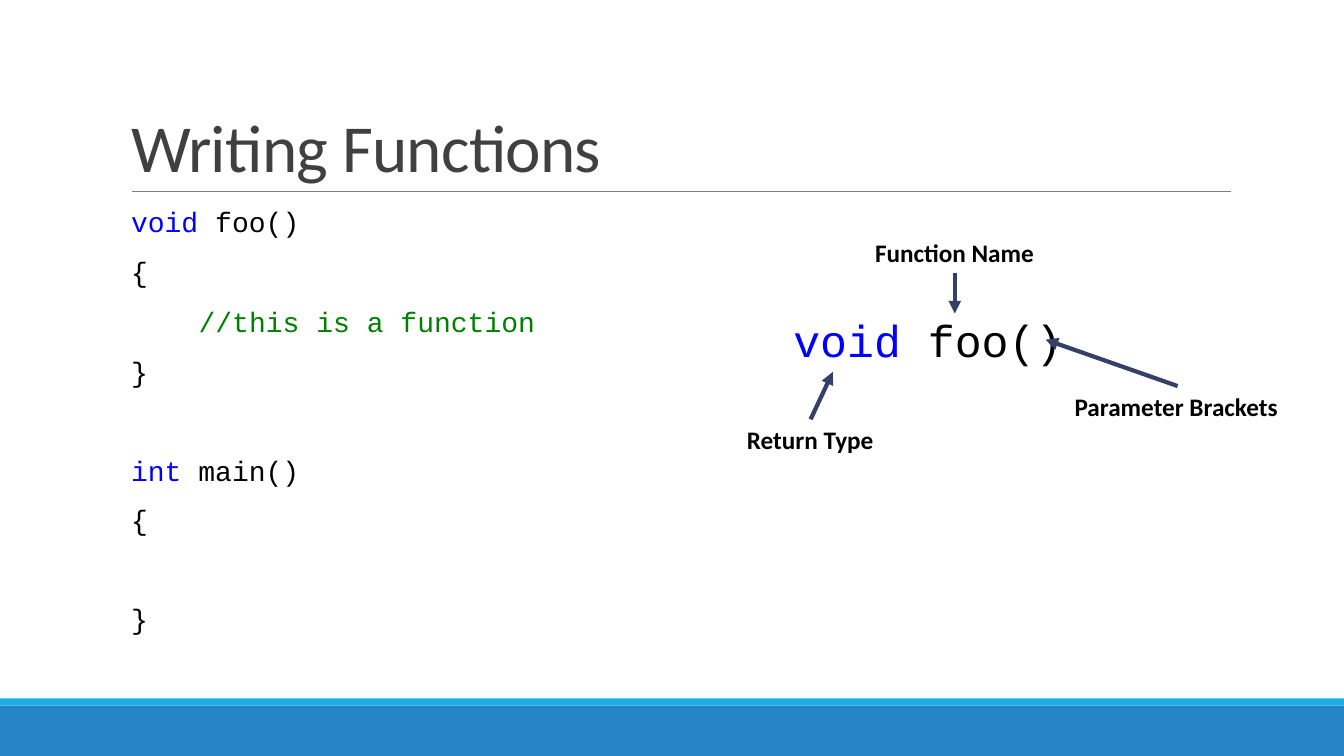
"""Build the Writing Functions slide with its code sample and labelled signature."""
from dataclasses import dataclass

import pptx
import pptx.dml.color
import pptx.enum.shapes
import pptx.enum.text
import pptx.oxml
import pptx.oxml.ns
import pptx.util

PX = 9144


@dataclass(frozen=True)
class Theme:
    sans: str = "Calibri"
    mono: str = "Courier New"
    title: str = "404040"
    text: str = "000000"
    keyword: str = "0000FF"
    comment: str = "008000"
    arrow: str = "344068"
    rule: str = "808080"
    bar: str = "2683C6"
    strip: str = "1CADE4"
    title_size: int = 48
    signature_size: int = 32
    code_size: int = 20
    label_size: int = 18


@dataclass(frozen=True)
class Area:
    left: int
    top: int
    width: int
    height: int

    def emu(self) -> list[int]:
        return [px(side) for side in (self.left, self.top, self.width, self.height)]


@dataclass(frozen=True)
class Band:
    area: Area
    color: str


@dataclass(frozen=True)
class Line:
    start: tuple[int, int]
    end: tuple[int, int]


@dataclass(frozen=True)
class Label:
    text: str
    area: Area
    arrow: Line


@dataclass(frozen=True)
class CodeLine:
    text: str
    keyword: str = ""
    color: str = Theme.text
    indent: int = 0
    before: int = 12


BANDS = [
    Band(Area(0, 700, 1333, 50), Theme.bar),
    Band(Area(0, 693, 1333, 7), Theme.strip),
]
RULE = Line((131, 190), (1221, 190))
TITLE_AREA = Area(120, 31, 1100, 159)
CODE_AREA = Area(120, 202, 1100, 440)
SIGNATURE_AREA = Area(777, 305, 355, 64)
BULLET_GAP = 10
AFTER_BLANK = 47
CODE = [
    CodeLine(" foo()", keyword="void"),
    CodeLine("{"),
    CodeLine("//this is a function", color=Theme.comment, indent=67),
    CodeLine("}"),
    CodeLine(" main()", keyword="int", before=AFTER_BLANK),
    CodeLine("{"),
    CodeLine("}", before=AFTER_BLANK),
]
LABELS = [
    Label("Return Type", Area(731, 416, 147, 40), Line((804, 416), (826, 369))),
    Label("Function Name", Area(858, 231, 179, 40), Line((947, 271), (947, 311))),
    Label("Parameter Brackets", Area(1056, 383, 223, 40), Line((1168, 383), (1037, 337))),
]


def px(length: int) -> int:
    return length * PX


def rgb(color: str) -> pptx.dml.color.RGBColor:
    return pptx.dml.color.RGBColor.from_string(color)


def add_text(para, text: str, *, size: int, font: str = Theme.sans,
             color: str = Theme.text, bold: bool = False, spacing: int = 0) -> None:
    span = para.add_run()
    span.text = text
    span.font.name = font
    span.font.size = pptx.util.Pt(size)
    span.font.bold = bold
    span.font.color.rgb = rgb(color)
    if spacing:
        span._r.get_or_add_rPr().set("spc", str(spacing))


def add_code(para, line: CodeLine, size: int) -> None:
    if line.keyword:
        add_text(para, line.keyword, size=size, font=Theme.mono, color=Theme.keyword)
    add_text(para, line.text, size=size, font=Theme.mono, color=line.color)


def add_box(page, area: Area, wrap: bool = True):
    box = page.shapes.add_textbox(*area.emu())
    box.text_frame.word_wrap = wrap
    return box.text_frame


def add_band(page, band: Band) -> None:
    shape = page.shapes.add_shape(pptx.enum.shapes.MSO_SHAPE.RECTANGLE, *band.area.emu())
    shape.shadow.inherit = False
    shape.fill.solid()
    shape.fill.fore_color.rgb = rgb(band.color)
    shape.line.fill.background()


def add_line(page, line: Line, color: str, width: float, arrow: bool = False) -> None:
    connector = page.shapes.add_connector(
        pptx.enum.shapes.MSO_CONNECTOR.STRAIGHT,
        *(px(value) for value in line.start + line.end))
    connector.line.color.rgb = rgb(color)
    connector.line.width = pptx.util.Pt(width)
    if arrow:
        head = pptx.oxml.parse_xml(
            f'<a:tailEnd {pptx.oxml.ns.nsdecls("a")} type="triangle"/>')
        connector.line._get_or_add_ln().append(head)
    connector._element.spPr.append(
        pptx.oxml.parse_xml(f'<a:effectLst {pptx.oxml.ns.nsdecls("a")}/>'))


def set_bullet(para, indent: int) -> None:
    properties = para._p.get_or_add_pPr()
    properties.set("marL", str(px(BULLET_GAP + indent)))
    properties.set("indent", str(px(-BULLET_GAP)))
    for tag in (f'buFont typeface="{Theme.sans}"', 'buChar char=" "'):
        properties.append(pptx.oxml.parse_xml(f'<a:{tag} {pptx.oxml.ns.nsdecls("a")}/>'))


def fill_title(page) -> None:
    title = page.shapes.title
    title.left, title.top, title.width, title.height = TITLE_AREA.emu()
    frame = title.text_frame
    frame.auto_size = pptx.enum.text.MSO_AUTO_SIZE.NONE
    frame.vertical_anchor = pptx.enum.text.MSO_ANCHOR.BOTTOM
    para = frame.paragraphs[0]
    para.alignment = pptx.enum.text.PP_ALIGN.LEFT
    para.line_spacing = 0.85
    add_text(para, "Writing Functions", size=Theme.title_size, color=Theme.title, spacing=-50)


def add_listing(page) -> None:
    frame = add_box(page, CODE_AREA)
    frame.margin_left = frame.margin_right = 0
    for index, line in enumerate(CODE):
        para = frame.add_paragraph() if index else frame.paragraphs[0]
        para.line_spacing = 0.9
        para.space_before = pptx.util.Pt(line.before)
        para.space_after = pptx.util.Pt(2)
        set_bullet(para, line.indent)
        add_code(para, line, Theme.code_size)


def main() -> None:
    deck = pptx.Presentation()
    deck.slide_width, deck.slide_height = px(1333), px(750)
    page = deck.slides.add_slide(deck.slide_layouts.get_by_name("Title Only"))
    for band in BANDS:
        add_band(page, band)
    add_line(page, RULE, Theme.rule, 0.5)
    fill_title(page)
    add_listing(page)
    add_code(add_box(page, SIGNATURE_AREA).paragraphs[0], CODE[0], Theme.signature_size)
    for label in LABELS:
        frame = add_box(page, label.area, wrap=False)
        add_text(frame.paragraphs[0], label.text, size=Theme.label_size, bold=True)
        add_line(page, label.arrow, Theme.arrow, 3, arrow=True)
    deck.save("out.pptx")


if __name__ == "__main__":
    main()
